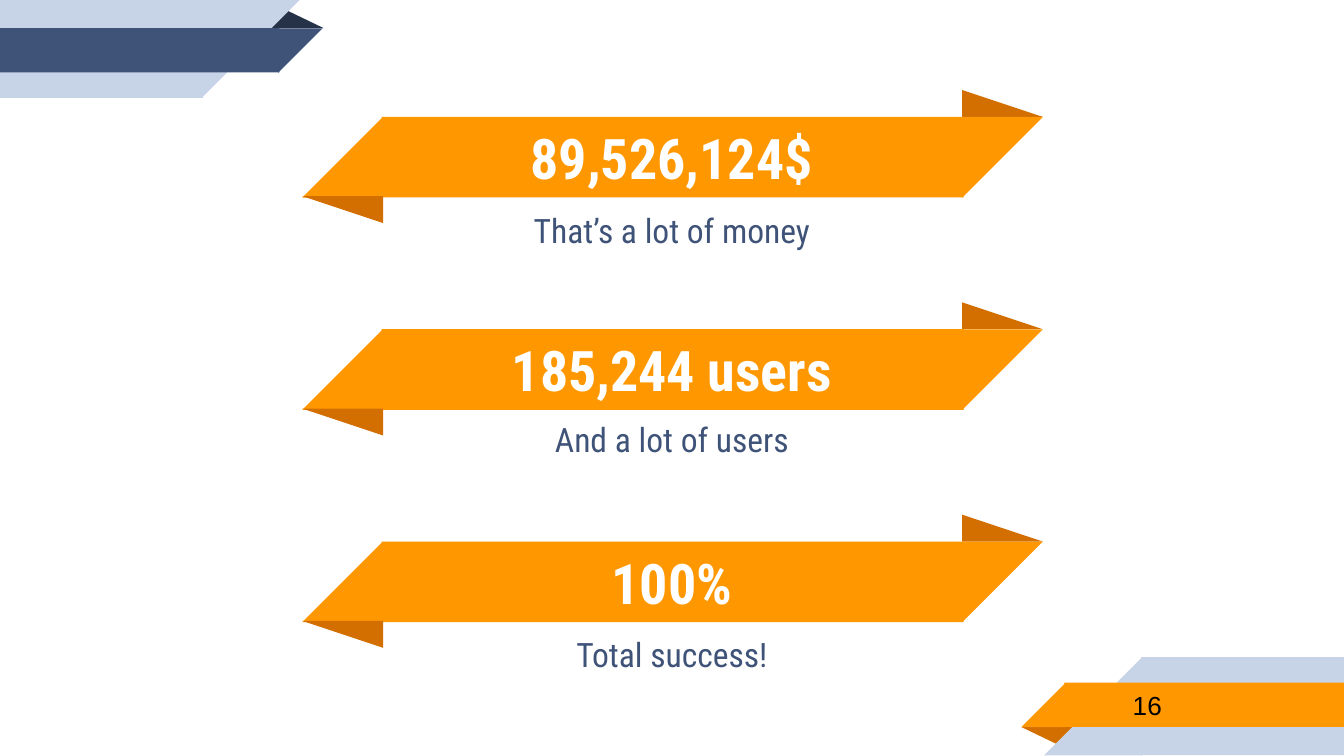
from pptx import Presentation
from pptx.dml.color import RGBColor
from pptx.enum import shapes, text
from pptx.util import Inches, Pt

ORANGE = RGBColor(0xFF, 0x98, 0x00)
DARK_ORANGE = RGBColor(0xD2, 0x6F, 0x00)
PALE_BLUE = RGBColor(0xC7, 0xD3, 0xE6)
BLUE = RGBColor(0x3F, 0x53, 0x78)
NAVY = RGBColor(0x26, 0x32, 0x48)
WHITE = RGBColor(0xFF, 0xFF, 0xFF)
BLACK = RGBColor(0x00, 0x00, 0x00)

SHAPE = shapes.MSO_SHAPE
ALIGN = text.PP_ALIGN
FONT = "Roboto Condensed"


class RibbonSlide:
    """Holds the page and the shared style of its elements."""

    def __init__(self, page):
        self.page = page

    def shape(self, kind, at, color, rotation=0, flip=False, apex=None):
        item = self.page.shapes.add_shape(kind, *map(Inches, at))
        item.shadow.inherit = False
        item.fill.solid()
        item.fill.fore_color.rgb = color
        item.line.fill.background()
        item.rotation = rotation
        if flip:
            item._element.spPr.get_or_add_xfrm().set("flipH", "1")
        if apex is not None:
            item.adjustments[0] = apex

    def rect(self, at, color):
        self.shape(SHAPE.RECTANGLE, at, color)

    def slant(self, left, top, size, color, rotation=0):
        """Right triangle that gives a band its slanted end."""
        self.shape(SHAPE.RIGHT_TRIANGLE, (left, top, size, size), color, rotation, flip=True)

    def fold(self, at, color, apex=0, rotation=0):
        self.shape(SHAPE.ISOSCELES_TRIANGLE, at, color, rotation, apex=apex)

    def ribbon(self, top):
        self.fold((7.16, top - 0.2, 0.6, 0.2), DARK_ORANGE)
        self.rect((2.84, top, 4.33, 0.6), ORANGE)
        self.slant(7.16, top, 0.6, ORANGE, 180)
        self.slant(2.25, top, 0.6, ORANGE)
        self.fold((2.25, top + 0.59, 0.6, 0.2), DARK_ORANGE, rotation=180)

    def words(self, at, wording, size, color, bold=False, font=FONT,
              align=ALIGN.CENTER, after=0, holder=None):
        box = holder or self.page.shapes.add_textbox(*map(Inches, at))
        box.left, box.top, box.width, box.height = map(Inches, at)
        self.page.shapes._spTree.append(box._element)  # bring to front
        frame = box.text_frame
        frame.word_wrap = True
        frame.auto_size = text.MSO_AUTO_SIZE.NONE
        frame.vertical_anchor = text.MSO_ANCHOR.MIDDLE
        frame.margin_left = frame.margin_right = Inches(0.1)
        frame.margin_top = frame.margin_bottom = Inches(0.1)
        para = frame.paragraphs[0]
        para.alignment = align
        para.space_before, para.space_after = Pt(0), Pt(after)
        span = para.add_run()
        span.text = wording
        span.font.name, span.font.size, span.font.bold = font, Pt(size), bold
        span.font.color.rgb = color


# Widescreen 16:9 page
deck = Presentation()
deck.slide_width = Inches(10)
deck.slide_height = deck.slide_width * 9 // 16
page = deck.slides.add_slide(deck.slide_layouts[0])
slide = RibbonSlide(page)

# Bottom right corner
slide.fold((7.6, 5.41, 0.43, 0.14), DARK_ORANGE, 0.324, 180)
slide.rect((8.49, 4.89, 1.51, 0.73), PALE_BLUE)
slide.slant(7.77, 4.89, 0.73, PALE_BLUE)
slide.rect((7.92, 5.08, 2.08, 0.33), ORANGE)
slide.slant(7.6, 5.08, 0.33, ORANGE)

# Top left corner
slide.fold((1.98, 0.07, 0.43, 0.14), NAVY, 0.324)
slide.rect((0, 0, 1.51, 0.73), PALE_BLUE)
slide.slant(1.5, 0, 0.73, PALE_BLUE, 180)
slide.rect((0, 0.21, 2.08, 0.33), BLUE)
slide.slant(2.07, 0.21, 0.33, BLUE, 180)

# Ribbons with a figure and a caption; the first pair fills the placeholders
title, subtitle = page.placeholders
rows = [
    ("89,526,124$", "That’s a lot of money", 0.59, 0.51, title, subtitle),
    ("185,244 users", "And a lot of users", 0.59, 0.45, None, None),
    ("100%", "Total success!", 0.61, 0.45, None, None),
]
for index, (figure, caption, drop, height, figure_holder, caption_holder) in enumerate(rows):
    top = 0.87 + 1.58 * index
    slide.ribbon(top)
    slide.words((2.86, top + 0.01, 4.28, 0.58), figure, 30, WHITE, bold=True,
                holder=figure_holder)
    slide.words((2.86, top + drop, 4.28, height), caption, 18, BLUE, after=10,
                holder=caption_holder)

# Page number
slide.words((8.33, 5.07, 1.63, 0.35), "16", 14, BLACK, font="Arial", align=ALIGN.LEFT)

deck.save("out.pptx")
